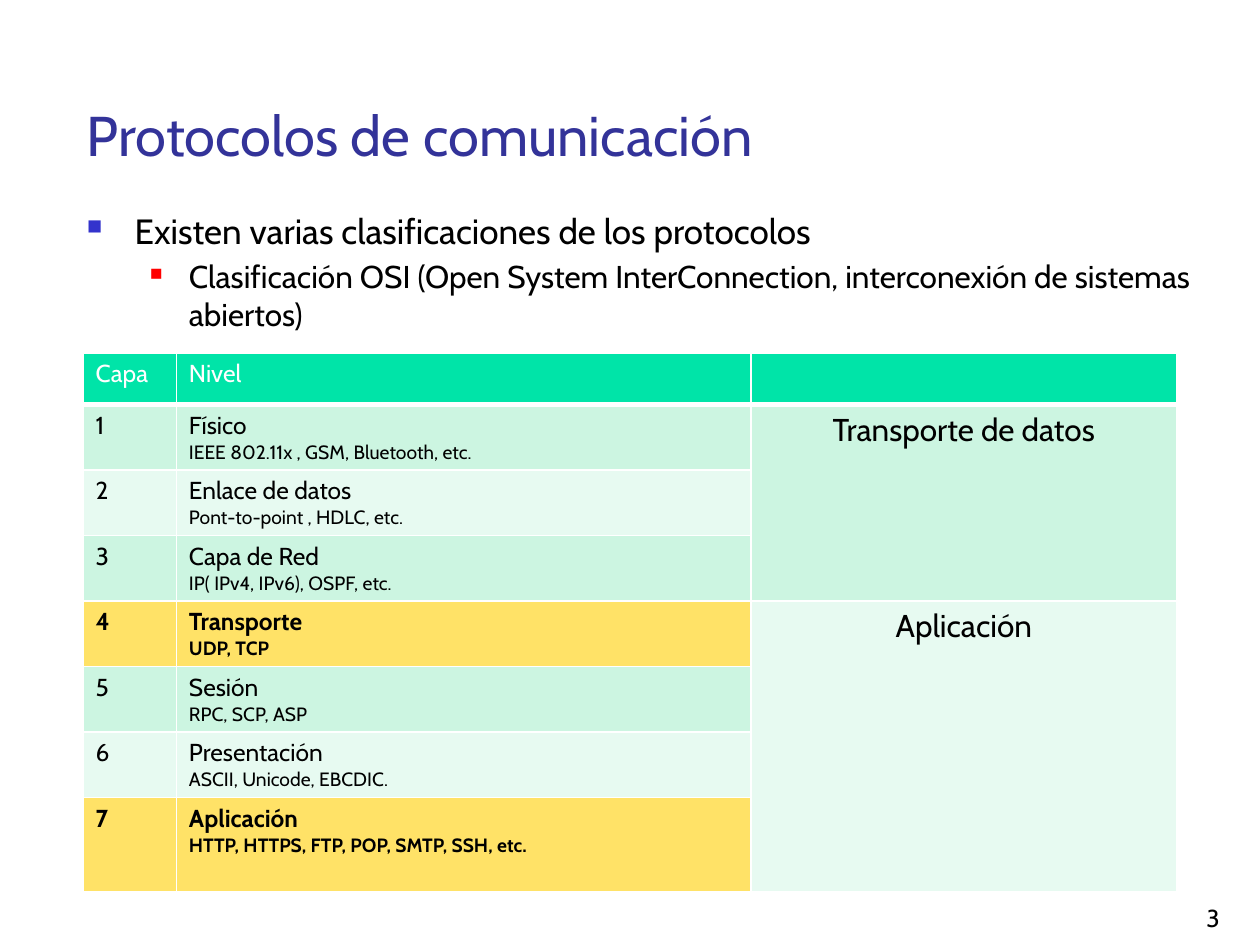
from dataclasses import dataclass
from lxml.etree import SubElement
from pptx import Presentation
from pptx.dml.color import RGBColor
from pptx.enum.text import MSO_ANCHOR, PP_ALIGN
from pptx.oxml.ns import qn
from pptx.util import Inches, Pt

LEFT, MID, RIGHT = PP_ALIGN.LEFT, PP_ALIGN.CENTER, PP_ALIGN.RIGHT
TOP, LOW = MSO_ANCHOR.TOP, MSO_ANCHOR.BOTTOM


@dataclass
class Theme:
    font: str = "Cabin"
    black: str = "000000"
    white: str = "FFFFFF"
    navy: str = "333399"
    blue: str = "3333CC"
    red: str = "FF0000"
    green: str = "00E4A8"
    mint: str = "CCF5E1"
    pale: str = "E7FAF1"
    gold: str = "FFE267"
    title: int = 32
    lead: int = 20
    sub: int = 18
    cell: int = 14
    note: int = 11


def write(para, text, sizes, color, align=LEFT, bold=False):
    para.text = text
    para.alignment = align
    for run, size in zip(para.runs, sizes):
        font = run.font
        font.name, font.size, font.bold = theme.font, Pt(size), bold
        font.color.rgb = RGBColor.from_string(color)
    for gap in para._p.findall(qn("a:br")):
        SubElement(gap, qn("a:rPr"), sz=str(sizes[0] * 100))


def add_box(left, top, width, height, anchor):
    box = slide.shapes.add_textbox(Inches(left), Inches(top), Inches(width), Inches(height))
    box.text_frame.word_wrap = True
    box.text_frame.vertical_anchor = anchor
    return box


theme = Theme()
deck = Presentation()
deck.slide_width, deck.slide_height = Inches(10), Inches(7.5)
slide = deck.slides.add_slide(deck.slide_layouts[6])

title = add_box(0.59, 0.23, 9.19, 1.15, LOW)
write(title.text_frame.paragraphs[0], "Protocolos de comunicación", [theme.title], theme.navy)

body = add_box(0.59, 1.61, 9.21, 5.28, TOP)
body.fill.solid()
body.fill.fore_color.rgb = RGBColor.from_string(theme.white)
points = [
    ("Existen varias clasificaciones de los protocolos",
     theme.lead, 0, 0.38, 0.38, theme.blue, 60),
    ("Clasificación OSI (Open System InterConnection, interconexión de sistemas abiertos)",
     theme.sub, 1, 0.81, 0.31, theme.red, 55),
]
frame = body.text_frame
for i, (text, size, level, left, hang, color, scale) in enumerate(points):
    para = frame.add_paragraph() if i else frame.paragraphs[0]
    write(para, text, [size], theme.black)
    para.level = level
    para.space_before = Pt(size * 0.2)
    props = para._p.get_or_add_pPr()
    props.set("marL", str(Inches(left)))
    props.set("indent", str(-Inches(hang)))
    SubElement(SubElement(props, qn("a:buClr")), qn("a:srgbClr"), val=color)
    SubElement(props, qn("a:buSzPct"), val=str(scale * 1000))
    SubElement(props, qn("a:buChar"), char="■")

page = add_box(7.7, 7.06, 2.08, 0.39, LOW)
write(page.text_frame.paragraphs[0], "3", [theme.cell], theme.black, RIGHT)

layers = [
    ("Físico", "IEEE 802.11x , GSM, Bluetooth, etc."),
    ("Enlace de datos", "Pont-to-point , HDLC, etc."),
    ("Capa de Red", "IP( IPv4, IPv6), OSPF, etc."),
    ("Transporte", "UDP, TCP"),
    ("Sesión", "RPC, SCP, ASP"),
    ("Presentación", "ASCII, Unicode, EBCDIC."),
    ("Aplicación", "HTTP, HTTPS, FTP, POP, SMTP, SSH, etc."),
]
marked = {4, 7}
groups = [(1, 3, "Transporte de datos", theme.mint), (4, 7, "Aplicación", theme.pale)]
widths = [0.74, 4.56, 3.38]
heights = [0.41] + [0.52] * 6 + [0.75]
grid = slide.shapes.add_table(
    len(heights), len(widths), Inches(0.66), Inches(2.8),
    Inches(sum(widths)), Inches(sum(heights))).table
for col, width in zip(grid.columns, widths):
    col.width = Inches(width)
for row, height in zip(grid.rows, heights):
    row.height = Inches(height)

fills = {}
for col, text in enumerate(["Capa", "Nivel", ""]):
    fills[0, col] = theme.green
    write(grid.cell(0, col).text_frame.paragraphs[0], text, [theme.cell], theme.white)
for num, (name, note) in enumerate(layers, 1):
    bold = num in marked
    tint = theme.gold if bold else theme.mint if num % 2 else theme.pale
    for col, text in enumerate([str(num), f"{name}\v{note}"]):
        fills[num, col] = tint
        write(grid.cell(num, col).text_frame.paragraphs[0], text,
              [theme.cell, theme.note], theme.black, LEFT, bold)
for first, last, text, tint in groups:
    grid.cell(first, 2).merge(grid.cell(last, 2))
    write(grid.cell(first, 2).text_frame.paragraphs[0], text, [theme.sub], theme.black, MID)
    for row in range(first, last + 1):
        fills[row, 2] = tint

for (row, col), tint in fills.items():
    cell = grid.cell(row, col)
    props = cell._tc.get_or_add_tcPr()
    for side in ("L", "R", "T", "B"):
        wide = 3 if row == 0 and side == "B" else 1
        line = SubElement(props, qn(f"a:ln{side}"), w=str(Pt(wide)))
        SubElement(SubElement(line, qn("a:solidFill")), qn("a:srgbClr"), val=theme.white)
    cell.fill.solid()
    cell.fill.fore_color.rgb = RGBColor.from_string(tint)

deck.save("out.pptx")
